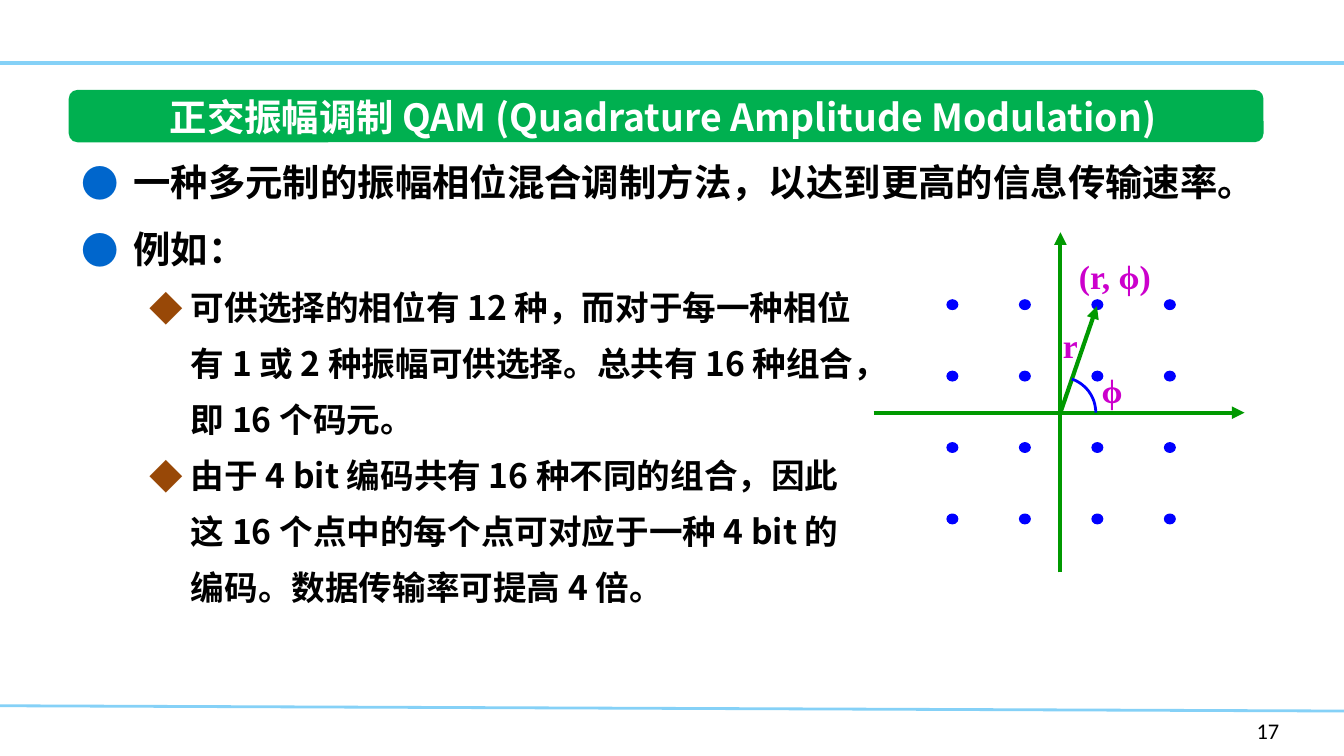
from dataclasses import dataclass
from itertools import product
from math import atan2, cos, sin

from lxml.etree import SubElement
from pptx import Presentation
from pptx.dml.color import RGBColor
from pptx.enum.shapes import MSO_CONNECTOR, MSO_SHAPE
from pptx.enum.text import MSO_ANCHOR, PP_ALIGN
from pptx.oxml.ns import qn
from pptx.util import Cm, Pt

CJK, SERIF, SANS = "Noto Sans CJK SC", "Times New Roman", "Calibri"
BLACK, WHITE, SKY, BANNER = "000000", "FFFFFF", "85D1F7", "00B050"
GREEN, BLUE, MAGENTA = "009900", "0000FF", "CC00CC"


@dataclass(frozen=True)
class Box:
    """A rectangle in centimetres."""
    left: float
    top: float
    width: float
    height: float

    def lengths(self) -> list:
        return [Cm(value) for value in (self.left, self.top, self.width, self.height)]


@dataclass(frozen=True)
class Line:
    start: tuple[float, float]
    end: tuple[float, float]
    colour: str
    weight: float
    arrow: bool = False


@dataclass(frozen=True)
class Bullet:
    symbol: str
    colour: str
    size: int
    margin: float
    hanging: float
    level: int = 0


@dataclass(frozen=True)
class Label:
    text: str
    box: Box


MAIN = Bullet("●", "0066CC", 20, 0.97, 0.97)
DETAIL = Bullet("◆", "984807", 18, 2.06, 0.79, 1)

ORIGIN = (20.04, 7.8)
VECTOR_TIP = (20.73, 5.79)
ARC_RADIUS = 0.67
DOT_WIDTH, DOT_HEIGHT = 0.2, 0.18
FIRST_DOT = (18.0, 5.76)
DOT_STEP = (1.37, 1.35)

RULES = [
    Line((0, 13.34), (25.4, 13.44), SKY, 1.5),
    Line((0, 1.19), (25.4, 1.19), SKY, 2),
]
ARROWS = [
    Line((ORIGIN[0], 10.82), (ORIGIN[0], 4.39), GREEN, 2.25, True),
    Line((16.51, ORIGIN[1]), (23.52, ORIGIN[1]), GREEN, 2.25, True),
    Line(ORIGIN, VECTOR_TIP, GREEN, 2.25, True),
]
LABELS = [
    Label("r", Box(19.84, 6.02, 0.79, 1.02)),
    Label("ϕ", Box(20.57, 6.86, 0.89, 1.02)),
    Label("(r, ϕ)", Box(20.14, 4.72, 1.88, 1.02)),
]
INTRO = [(MAIN, "一种多元制的振幅相位混合调制方法，以达到更高的信息传输速率。")]
EXAMPLE = [
    (MAIN, "例如："),
    (DETAIL, "可供选择的相位有 12 种，而对于每一种相位有 1 或 2 种振幅可供选择。"
             "总共有 16 种组合，即 16 个码元。"),
    (DETAIL, "由于 4 bit 编码共有 16 种不同的组合，因此这 16 个点中的每个点"
             "可对应于一种 4 bit 的编码。数据传输率可提高 4 倍。"),
]


def rgb(colour: str) -> RGBColor:
    return RGBColor.from_string(colour)


def style_runs(para, font: str, size: float, colour: str, bold: bool = True) -> None:
    for span in para.runs:
        span.font.name, span.font.size, span.font.bold = font, Pt(size), bold
        span.font.color.rgb = rgb(colour)
        SubElement(span.font._element, qn("a:ea"), typeface=font)


def add_line(page, line: Line) -> None:
    ends = [Cm(value) for value in (*line.start, *line.end)]
    connector = page.shapes.add_connector(MSO_CONNECTOR.STRAIGHT, *ends)
    connector.line.color.rgb = rgb(line.colour)
    connector.line.width = Pt(line.weight)
    if line.arrow:
        SubElement(connector.line._get_or_add_ln(), qn("a:tailEnd"), type="triangle")
    SubElement(connector._element.spPr, qn("a:effectLst"))


def add_filled(page, kind: MSO_SHAPE, box: Box, colour: str):
    shape = page.shapes.add_shape(kind, *box.lengths())
    shape.shadow.inherit = False
    shape.fill.solid()
    shape.fill.fore_color.rgb = rgb(colour)
    shape.line.fill.background()
    return shape


def add_text(page, label: Label, font: str, size: float, colour: str, bold: bool) -> None:
    frame = page.shapes.add_textbox(*label.box.lengths()).text_frame
    frame.word_wrap = False
    frame.text = label.text
    style_runs(frame.paragraphs[0], font, size, colour, bold)


def set_bullet(para, bullet: Bullet) -> None:
    para.level = bullet.level
    properties = para._p.get_or_add_pPr()
    properties.set("marL", str(Cm(bullet.margin)))
    properties.set("indent", str(-Cm(bullet.hanging)))
    colour = SubElement(properties, qn("a:buClr"))
    SubElement(colour, qn("a:srgbClr"), val=bullet.colour)
    SubElement(properties, qn("a:buFont"), typeface=CJK)
    SubElement(properties, qn("a:buChar"), char=bullet.symbol)


def add_bullets(page, box: Box, items: list[tuple[Bullet, str]]) -> None:
    frame = page.shapes.add_textbox(*box.lengths()).text_frame
    frame.word_wrap = True
    frame.text = "\n".join(text for _, text in items)
    for para, (bullet, _) in zip(frame.paragraphs, items):
        para.line_spacing = Pt(30)
        set_bullet(para, bullet)
        style_runs(para, CJK, bullet.size, BLACK)


def add_title(page) -> None:
    banner = add_filled(page, MSO_SHAPE.ROUNDED_RECTANGLE, Box(1.3, 1.7, 22.58, 0.99), BANNER)
    banner.adjustments[0] = 0.167
    title = page.shapes.title
    title.left, title.top, title.width, title.height = Box(2.1, 1.7, 21.03, 0.99).lengths()
    page.shapes._spTree.append(title._element)  # in front of the banner
    frame = title.text_frame
    frame.text = "正交振幅调制 QAM (Quadrature Amplitude Modulation) "
    frame.word_wrap = True
    frame.vertical_anchor = MSO_ANCHOR.MIDDLE
    frame.paragraphs[0].alignment = PP_ALIGN.CENTER
    style_runs(frame.paragraphs[0], CJK, 20, WHITE)


def add_phase_arc(page) -> None:
    """Draw the angle between the horizontal axis and the vector."""
    angle = atan2(ORIGIN[1] - VECTOR_TIP[1], VECTOR_TIP[0] - ORIGIN[0])
    steps = 24
    points = [(Cm(ORIGIN[0] + ARC_RADIUS * cos(angle * step / steps)),
               Cm(ORIGIN[1] - ARC_RADIUS * sin(angle * step / steps)))
              for step in range(steps + 1)]
    builder = page.shapes.build_freeform(*points[0])
    builder.add_line_segments(points[1:], close=False)
    arc = builder.convert_to_shape()
    arc.shadow.inherit = False
    arc.fill.background()
    arc.line.color.rgb = rgb(BLUE)
    arc.line.width = Pt(1.5)


def add_constellation(page) -> None:
    for column, row in product(range(4), repeat=2):
        left = FIRST_DOT[0] + column * DOT_STEP[0] - DOT_WIDTH / 2
        top = FIRST_DOT[1] + row * DOT_STEP[1] - DOT_HEIGHT / 2
        dot = add_filled(page, MSO_SHAPE.OVAL, Box(left, top, DOT_WIDTH, DOT_HEIGHT), BLUE)
        dot.line.color.rgb = rgb(BLUE)
        dot.line.width = Pt(0.75)
    for arrow in ARROWS:
        add_line(page, arrow)
    add_phase_arc(page)
    for label in LABELS:
        add_text(page, label, SERIF, 18, MAGENTA, True)


def main() -> None:
    deck = Presentation()
    deck.slide_width, deck.slide_height = Cm(25.4), Cm(14.29)
    page = deck.slides.add_slide(deck.slide_layouts[5])
    for rule in RULES:
        add_line(page, rule)
    add_title(page)
    add_text(page, Label("17", Box(23.5, 13.44, 1.45, 0.76)), SANS, 12, BLACK, False)
    add_bullets(page, Box(1.3, 2.67, 22.58, 9.37), INTRO)
    add_constellation(page)
    add_bullets(page, Box(1.3, 3.94, 15.21, 7.72), EXAMPLE)
    deck.save("out.pptx")


if __name__ == "__main__":
    main()
